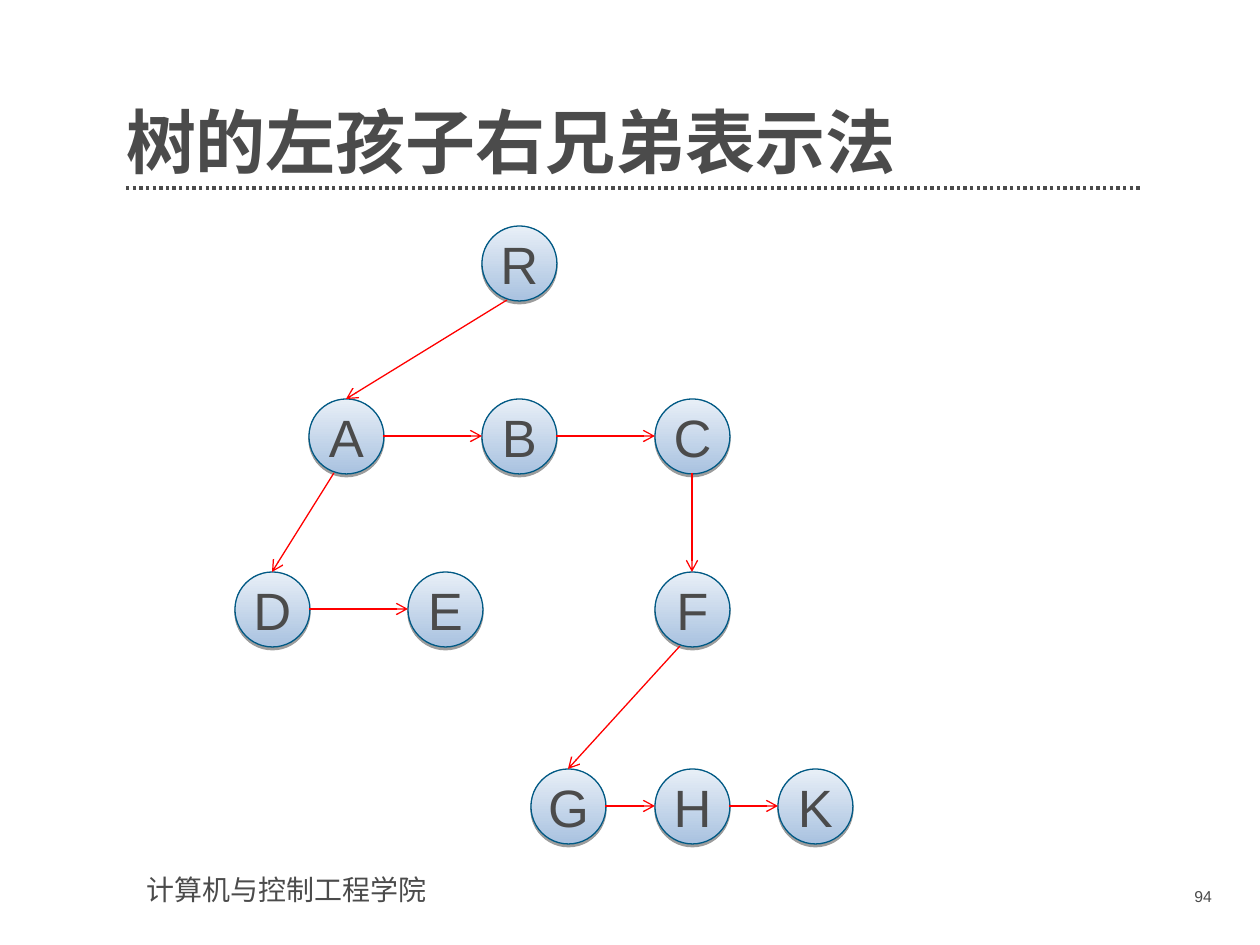
from typing import NamedTuple

from lxml import etree
from pptx import Presentation
from pptx.dml.color import RGBColor
from pptx.enum.dml import MSO_LINE
from pptx.enum.shapes import MSO_CONNECTOR, MSO_SHAPE
from pptx.enum.text import MSO_ANCHOR, PP_ALIGN
from pptx.oxml.ns import qn
from pptx.util import Emu, Pt

STRAIGHT = MSO_CONNECTOR.STRAIGHT
OVAL = MSO_SHAPE.OVAL
DOTTED = MSO_LINE.ROUND_DOT
TOP, BOTTOM = MSO_ANCHOR.TOP, MSO_ANCHOR.BOTTOM
LEFT, CENTER, RIGHT = PP_ALIGN.LEFT, PP_ALIGN.CENTER, PP_ALIGN.RIGHT

PX = 914400 // 126
INK, OUTLINE, ARROW = "4B4B4B", "005984", "FF0000"
GRADIENT = ("A9C2E0", "E8EFF7")
DIAMETER = 75
RADIUS = DIAMETER // 2
CHILD_SHIFT = 12


class Node(NamedTuple):
    center_x: int
    center_y: int


class Text(NamedTuple):
    words: str
    left: int
    top: int
    width: int
    height: int
    size: int
    align: PP_ALIGN = LEFT
    anchor: MSO_ANCHOR = TOP
    font: str = "Arial"
    bold: bool = False
    inset_x: int = 13
    inset_y: int = 6
    line_spacing: float = 1.0


NODES = {
    "R": Node(519, 263),
    "A": Node(346, 436), "B": Node(519, 436), "C": Node(692, 436),
    "D": Node(272, 609), "E": Node(445, 609), "F": Node(692, 609),
    "G": Node(568, 806), "H": Node(692, 806), "K": Node(815, 806),
}
FIRST_CHILDREN = ("RA", "AD", "CF", "FG")
NEXT_SIBLINGS = ("AB", "BC", "DE", "GH", "HK")

TEXTS = (
    Text("计算机与控制工程学院", 134, 867, 348, 47, 16),
    Text("树的左孩子右兄弟表示法", 126, 69, 1016, 115, 40, anchor=BOTTOM,
         font="Noto Sans CJK SC", bold=True, inset_x=0, inset_y=0, line_spacing=0.9),
    Text("94", 1100, 881, 125, 37, 9, align=RIGHT),
)


def px(length: int) -> Emu:
    return Emu(length * PX)


def color(value: str) -> RGBColor:
    return RGBColor.from_string(value)


def add_text(shapes, text: Text) -> None:
    box = shapes.add_textbox(px(text.left), px(text.top), px(text.width), px(text.height))
    frame = box.text_frame
    frame.word_wrap = True
    frame.vertical_anchor = text.anchor
    frame.margin_left = frame.margin_right = px(text.inset_x)
    frame.margin_top = frame.margin_bottom = px(text.inset_y)
    para = frame.paragraphs[0]
    para.text = text.words
    para.alignment = text.align
    para.line_spacing = text.line_spacing
    font = para.font
    font.name, font.size, font.bold = text.font, Pt(text.size), text.bold
    font.color.rgb = color(INK)
    if text.font != "Arial":
        for span in para.runs:
            properties = span._r.get_or_add_rPr()
            etree.SubElement(properties, qn("a:ea"), typeface=text.font)


def add_line(shapes, start: tuple[int, int], end: tuple[int, int],
             line_color: str, width: float):
    connector = shapes.add_connector(STRAIGHT, *map(px, start + end))
    connector.line.color.rgb = color(line_color)
    connector.line.width = Pt(width)
    etree.SubElement(connector._element.spPr, qn("a:effectLst"))
    return connector


def add_arrow(shapes, start: tuple[int, int], end: tuple[int, int]) -> None:
    connector = add_line(shapes, start, end, ARROW, 0.75)
    etree.SubElement(connector.line._get_or_add_ln(), qn("a:tailEnd"), type="arrow")


def add_drop_shadow(shape) -> None:
    shape.shadow.inherit = False
    effects = shape._element.spPr.find(qn("a:effectLst"))
    shadow = etree.SubElement(effects, qn("a:outerShdw"), blurRad="0",
                              dist=str(Pt(1.6)), dir="5400000", rotWithShape="0")
    black = etree.SubElement(shadow, qn("a:srgbClr"), val="000000")
    etree.SubElement(black, qn("a:alpha"), val="38000")


def add_node(shapes, label: str, node: Node) -> None:
    left, top = node.center_x - RADIUS, node.center_y - RADIUS
    group = shapes.add_group_shape()
    circle = group.shapes.add_shape(OVAL, px(left), px(top), px(DIAMETER), px(DIAMETER))
    circle.fill.gradient()
    circle.fill.gradient_angle = 90
    for stop, value in zip(circle.fill.gradient_stops, GRADIENT):
        stop.color.rgb = color(value)
    circle.line.color.rgb = color(OUTLINE)
    circle.line.width = Pt(0.75)
    add_drop_shadow(circle)
    add_text(group.shapes, Text(label, left, top, DIAMETER, DIAMETER, 30, align=CENTER))


def add_child_arrow(shapes, parent: Node, child: Node) -> None:
    """Leave the parent's underside, shifted left when the child lies to the left."""
    shift = CHILD_SHIFT if child.center_x < parent.center_x else 0
    add_arrow(shapes, (parent.center_x - shift, parent.center_y + RADIUS),
              (child.center_x, child.center_y - RADIUS))


def add_sibling_arrow(shapes, node: Node, sibling: Node) -> None:
    add_arrow(shapes, (node.center_x + RADIUS, node.center_y),
              (sibling.center_x - RADIUS, sibling.center_y))


def main() -> None:
    deck = Presentation()
    deck.slide_width, deck.slide_height = px(1260), px(945)
    page = deck.slides.add_slide(deck.slide_layouts[6])
    shapes = page.shapes

    title_rule = add_line(shapes, (126, 188), (1142, 188), INK, 1.9)
    title_rule.line.dash_style = DOTTED
    for text in TEXTS:
        add_text(shapes, text)
    for label, node in NODES.items():
        add_node(shapes, label, node)
    for parent, child in FIRST_CHILDREN:
        add_child_arrow(shapes, NODES[parent], NODES[child])
    for label, sibling in NEXT_SIBLINGS:
        add_sibling_arrow(shapes, NODES[label], NODES[sibling])

    deck.save("out.pptx")


if __name__ == "__main__":
    main()
